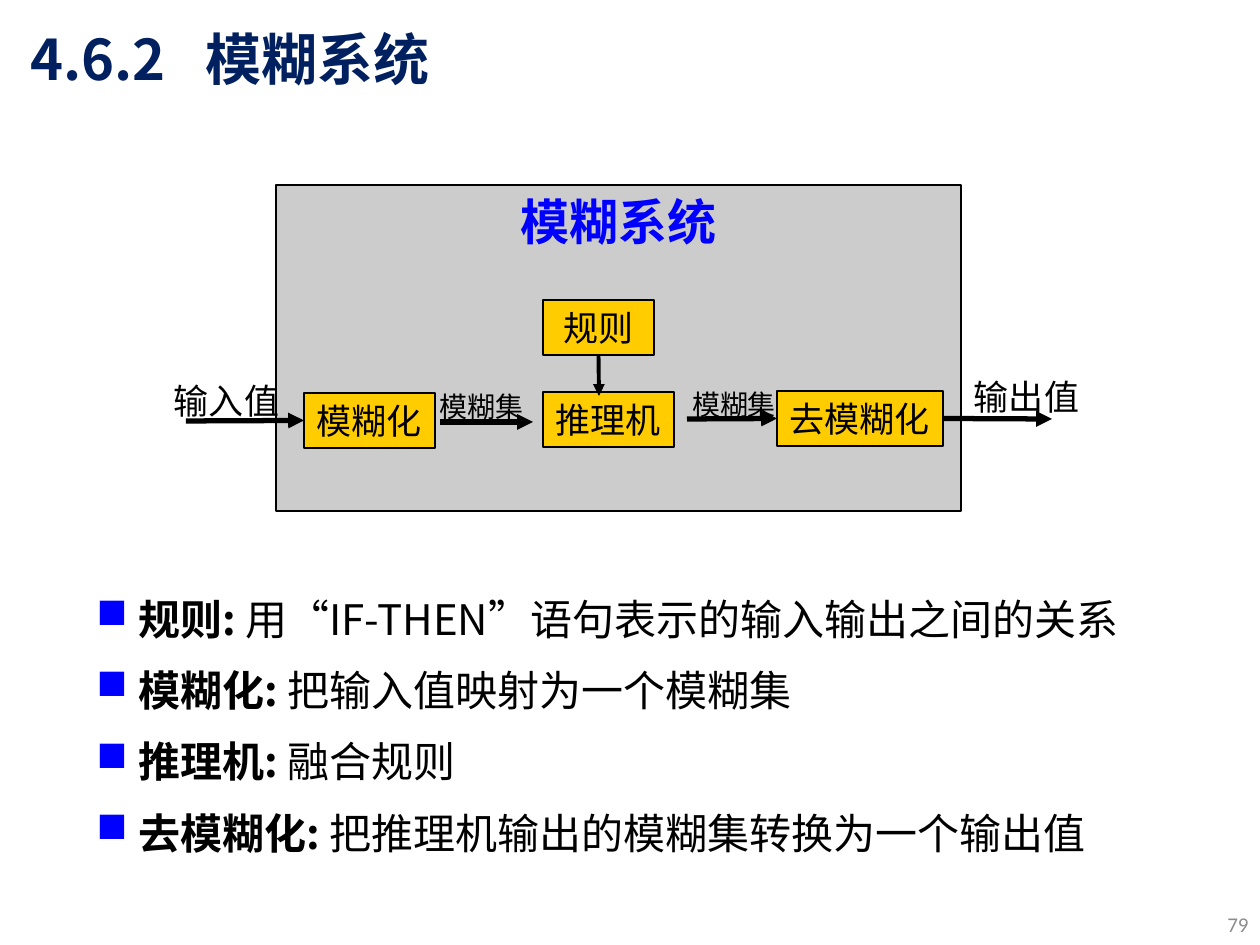
from lxml import etree
from pptx import Presentation, util as u
from pptx.dml.color import RGBColor
from pptx.enum import shapes, text
from pptx.oxml.ns import qn

SCALE = u.Inches(1) / 126
CENTER, LEFT, RIGHT = text.PP_ALIGN.CENTER, text.PP_ALIGN.LEFT, text.PP_ALIGN.RIGHT
TOP, MIDDLE = text.MSO_ANCHOR.TOP, text.MSO_ANCHOR.MIDDLE


def px(length):
    return u.Emu(round(length * SCALE))


def color(value):
    return RGBColor.from_string(value)


class Board:
    LATIN = "Calibri"
    HEAD = "Noto Sans CJK SC"
    INK = "000000"
    BLUE = "0000FF"

    def __init__(self, slide):
        self.slide = slide

    def style(self, run, size, ink=INK, font=LATIN, bold=False):
        run.font.size, run.font.bold, run.font.name = u.Pt(size), bold, font
        run.font.color.rgb = color(ink)
        if font == self.HEAD:
            etree.SubElement(run.font._element, qn("a:ea"), typeface=font)

    def set_words(self, shape, words, size, align, anchor, wrap=False, **look):
        frame = shape.text_frame
        frame.text = words
        frame.word_wrap, frame.vertical_anchor = wrap, anchor
        paragraph = frame.paragraphs[0]
        paragraph.alignment = align
        for run in paragraph.runs:
            self.style(run, size, **look)
        return paragraph

    def box(self, area, words, fill="FFCC00", size=20, anchor=MIDDLE, **look):
        shape = self.slide.shapes.add_shape(shapes.MSO_SHAPE.RECTANGLE, *map(px, area))
        shape.shadow.inherit = False
        shape.fill.solid()
        shape.fill.fore_color.rgb = color(fill)
        shape.line.color.rgb = color(self.INK)
        shape.line.width = u.Pt(0.75)
        self.set_words(shape, words, size, CENTER, anchor, **look)
        return shape

    def label(self, area, words, size, align=CENTER, anchor=TOP, **look):
        shape = self.slide.shapes.add_textbox(*map(px, area))
        return self.set_words(shape, words, size, align, anchor, **look)

    def heading(self, area, words, tab):
        paragraph = self.label(area, words, 32, LEFT, MIDDLE, wrap=True,
                               ink="002060", font=self.HEAD, bold=True)
        stops = etree.SubElement(paragraph._p.get_or_add_pPr(), qn("a:tabLst"))
        etree.SubElement(stops, qn("a:tab"), pos=str(px(tab)), algn="l")

    def arrow(self, start, end, width=3, source=None, target=None):
        line = self.slide.shapes.add_connector(
            shapes.MSO_CONNECTOR.STRAIGHT, *map(px, start + end))
        if source:
            line.begin_connect(*source)
        if target:
            line.end_connect(*target)
        line.line.color.rgb = color(self.INK)
        line.line.width = u.Pt(width)
        etree.SubElement(line.line._get_or_add_ln(), qn("a:tailEnd"), type="triangle")
        etree.SubElement(line._element.spPr, qn("a:effectLst"))

    def bullets(self, area, entries, indent):
        frame = self.slide.shapes.add_textbox(*map(px, area)).text_frame
        frame.word_wrap = True
        for number, (term, meaning) in enumerate(entries):
            paragraph = frame.add_paragraph() if number else frame.paragraphs[0]
            paragraph.space_before = u.Pt(12)
            paragraph.line_spacing = u.Pt(28.8)
            for words, bold in ((term + ": ", True), (meaning, False)):
                run = paragraph.add_run()
                run.text = words
                self.style(run, 24, font=self.HEAD, bold=bold)
            props = paragraph._p.get_or_add_pPr()
            props.set("marL", str(px(indent)))
            props.set("indent", str(-px(indent)))
            tint = etree.SubElement(props, qn("a:buClr"))
            etree.SubElement(tint, qn("a:srgbClr"), val=self.BLUE)
            etree.SubElement(props, qn("a:buChar"), char="■")


def main():
    deck = Presentation()
    deck.slide_width, deck.slide_height = px(1260), px(945)
    board = Board(deck.slides.add_slide(deck.slide_layouts[6]))

    board.label((1197, 900, 64, 48), "79", 12, RIGHT, MIDDLE, wrap=True, ink="8C8C8C")
    board.box((276, 185, 685, 326), "模糊系统", "CCCCCC", 28, TOP,
              ink=board.BLUE, font=board.HEAD, bold=True)
    fuzzify = board.box((304, 393, 131, 55), "模糊化")
    rules = board.box((543, 300, 111, 55), "规则")
    defuzzify = board.box((777, 391, 166, 55), "去模糊化")
    board.box((543, 392, 131, 55), "推理机")

    board.arrow((186, 421), (304, 421), target=(fuzzify, 1))
    board.arrow((440, 422), (533, 422))
    board.arrow((687, 419), (777, 419), target=(defuzzify, 1))
    board.arrow((943, 419), (1052, 419), source=(defuzzify, 3))
    board.arrow((599, 355), (599, 396), 2.25, source=(rules, 2))

    board.label((161, 373, 131, 55), "输入值", 20)
    board.label((426, 383, 111, 47), "模糊集", 16)
    board.label((679, 381, 110, 47), "模糊集", 16)
    board.label((961, 369, 131, 55), "输出值", 20)

    board.bullets((84, 587, 1082, 280), [
        ("规则", "用“IF-THEN”语句表示的输入输出之间的关系"),
        ("模糊化", "把输入值映射为一个模糊集"),
        ("推理机", "融合规则"),
        ("去模糊化", "把推理机输出的模糊集转换为一个输出值"),
    ], 42)
    board.heading((18, 19, 1191, 78), "4.6.2\t模糊系统", 175)
    deck.save("out.pptx")


if __name__ == "__main__":
    main()
